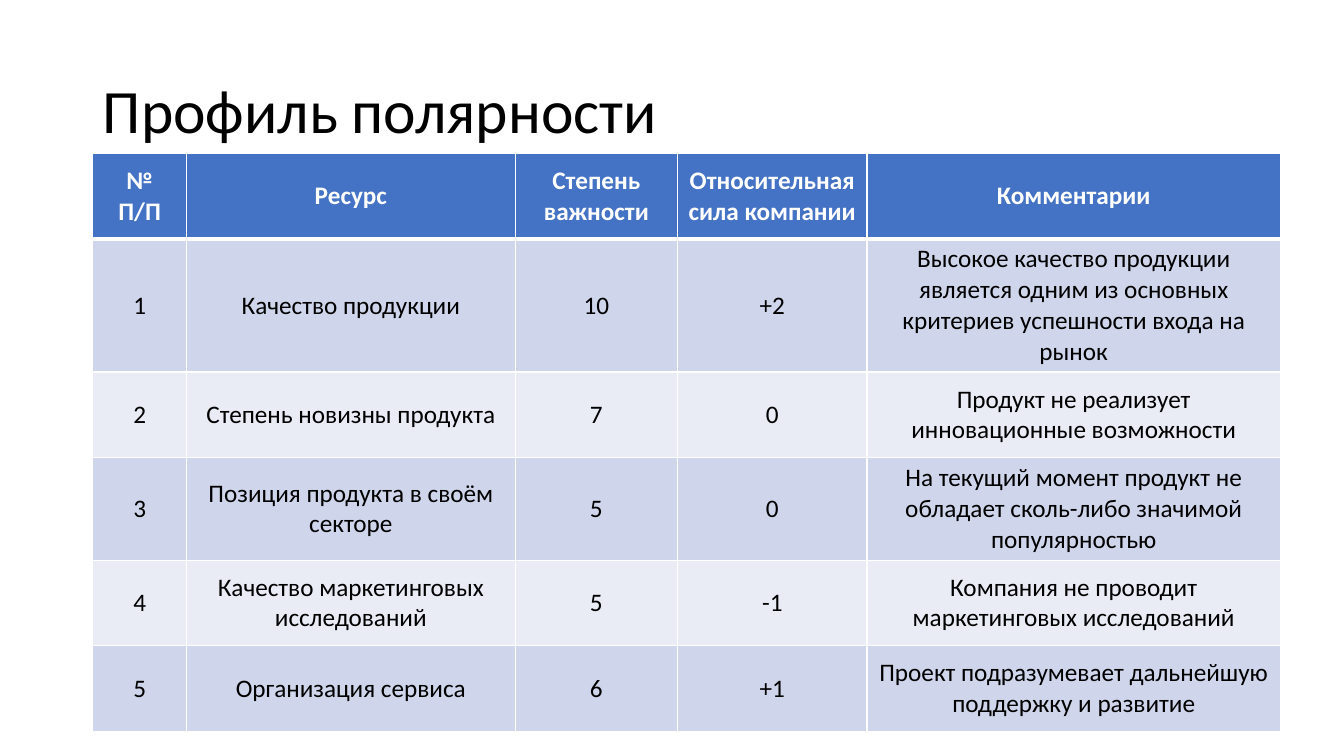
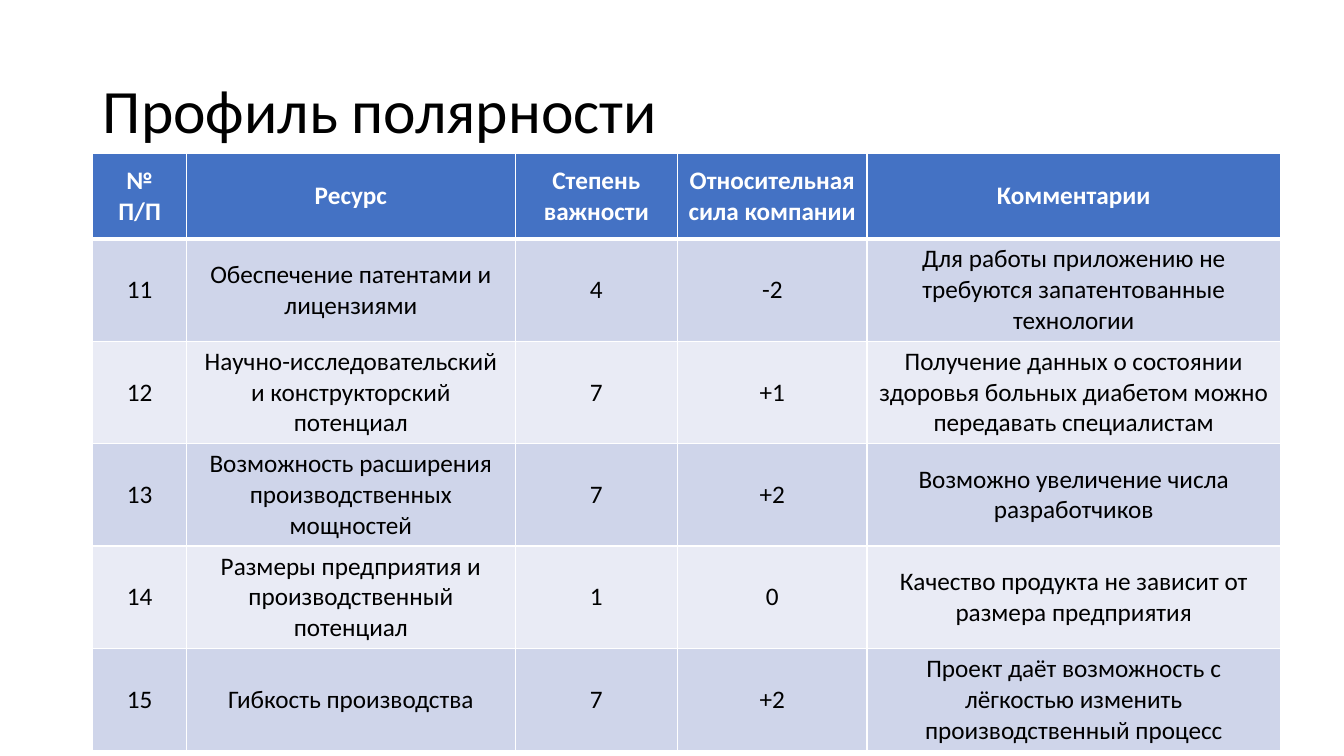
"""Build two slides with the resource polarity profile tables."""
import lxml.etree
import pptx
import pptx.dml.color
import pptx.enum.text
import pptx.oxml.ns
import pptx.util

Inches = pptx.util.Inches
COLOURS = {
    "header": "4472C4",
    "odd": "CFD5EA",
    "even": "E9EBF5",
    "light": "FFFFFF",
    "dark": "000000",
}
TITLE = "Профиль полярности"
TITLE_BOX = {"left": 0.92, "top": 0.4, "width": 11.5, "height": 1.45}
TITLE_FONT = {"name": "Calibri", "size": pptx.util.Pt(44), "bold": False}
CELL_FONT = {"name": "Calibri", "size": pptx.util.Pt(18)}
TABLE_LEFT, TABLE_TOP, ROW_HEIGHT = 0.92, 1.52, 0.85
COLUMN_WIDTHS = (0.93, 3.26, 1.61, 1.88, 4.1)
THIN, THICK = 1, 3
HEADINGS = ("№ П/П", "Ресурс", "Степень важности",
            "Относительная сила компании", "Комментарии")
PROFILES = (
    (
        ("1", "Качество продукции", "10", "+2",
         "Высокое качество продукции является одним из основных критериев "
         "успешности входа на рынок"),
        ("2", "Степень новизны продукта", "7", "0",
         "Продукт не реализует инновационные возможности"),
        ("3", "Позиция продукта в своём секторе", "5", "0",
         "На текущий момент продукт не обладает сколь-либо значимой "
         "популярностью"),
        ("4", "Качество маркетинговых исследований", "5", "-1",
         "Компания не проводит маркетинговых исследований"),
        ("5", "Организация сервиса", "6", "+1",
         "Проект подразумевает дальнейшую поддержку и развитие"),
    ),
    (
        ("11", "Обеспечение патентами и лицензиями", "4", "-2",
         "Для работы приложению не требуются запатентованные технологии"),
        ("12", "Научно-исследовательский и конструкторский потенциал", "7", "+1",
         "Получение данных о состоянии здоровья больных диабетом можно "
         "передавать специалистам"),
        ("13", "Возможность расширения производственных мощностей", "7", "+2",
         "Возможно увеличение числа разработчиков"),
        ("14", "Размеры предприятия и производственный потенциал", "1", "0",
         "Качество продукта не зависит от размера предприятия"),
        ("15", "Гибкость производства", "7", "+2",
         "Проект даёт возможность с лёгкостью изменить производственный "
         "процесс"),
    ),
)


def colour(name):
    """Return the named palette colour."""
    return pptx.dml.color.RGBColor.from_string(COLOURS[name])


def format_font(font, values, colour_name):
    """Apply format values and a colour to a font."""
    for attribute, value in values.items():
        setattr(font, attribute, value)
    font.color.rgb = colour(colour_name)


def add_title(slide, box):
    """Place the slide title in the given box."""
    title = slide.shapes.title
    for attribute, length in box.items():
        setattr(title, attribute, Inches(length))
    title.text_frame.text = TITLE
    title.text_frame.vertical_anchor = pptx.enum.text.MSO_ANCHOR.MIDDLE
    paragraph = title.text_frame.paragraphs[0]
    paragraph.alignment = pptx.enum.text.PP_ALIGN.LEFT
    paragraph.line_spacing = 0.9
    format_font(paragraph.runs[0].font, TITLE_FONT, "dark")


def add_borders(cell, widths):
    """Draw light borders of the given point widths around a cell."""
    qualified = pptx.oxml.ns.qn
    properties = cell._tc.get_or_add_tcPr()
    for side, width in widths.items():
        line = lxml.etree.SubElement(properties, qualified("a:ln" + side),
                                     w=str(pptx.util.Pt(width)))
        fill = lxml.etree.SubElement(line, qualified("a:solidFill"))
        lxml.etree.SubElement(fill, qualified("a:srgbClr"), val=COLOURS["light"])


def format_cell(cell, text, row_index):
    """Fill in one table cell according to its row."""
    is_header = row_index == 0
    add_borders(cell, {"L": THIN, "R": THIN,
                       "T": THICK if row_index == 1 else THIN,
                       "B": THICK if is_header else THIN})
    band = "header" if is_header else ("even", "odd")[row_index % 2]
    cell.fill.solid()
    cell.fill.fore_color.rgb = colour(band)
    cell.vertical_anchor = pptx.enum.text.MSO_ANCHOR.MIDDLE
    cell.text = text
    paragraph = cell.text_frame.paragraphs[0]
    paragraph.alignment = pptx.enum.text.PP_ALIGN.CENTER
    format_font(paragraph.runs[0].font, {**CELL_FONT, "bold": is_header},
                "light" if is_header else "dark")


def add_profile_table(slide, left, top, records):
    """Place a headed table of resources at the given corner."""
    rows = (HEADINGS, *records)
    table = slide.shapes.add_table(
        len(rows), len(COLUMN_WIDTHS), Inches(left), Inches(top),
        Inches(sum(COLUMN_WIDTHS)), Inches(ROW_HEIGHT * len(rows))).table
    table.horz_banding = False
    for column, width in zip(table.columns, COLUMN_WIDTHS):
        column.width = Inches(width)
    for row_index, texts in enumerate(rows):
        for column_index, text in enumerate(texts):
            format_cell(table.cell(row_index, column_index), text, row_index)


def add_profile_slide(presentation, records):
    """Add a slide with the title and one profile table."""
    slide = presentation.slides.add_slide(
        presentation.slide_layouts.get_by_name("Title Only"))
    add_title(slide, TITLE_BOX)
    add_profile_table(slide, TABLE_LEFT, TABLE_TOP, records)


def main():
    """Build and save the presentation."""
    presentation = pptx.Presentation()
    presentation.slide_width = Inches(13.33)
    presentation.slide_height = Inches(7.5)
    for records in PROFILES:
        add_profile_slide(presentation, records)
    presentation.save("out.pptx")


if __name__ == "__main__":
    main()
